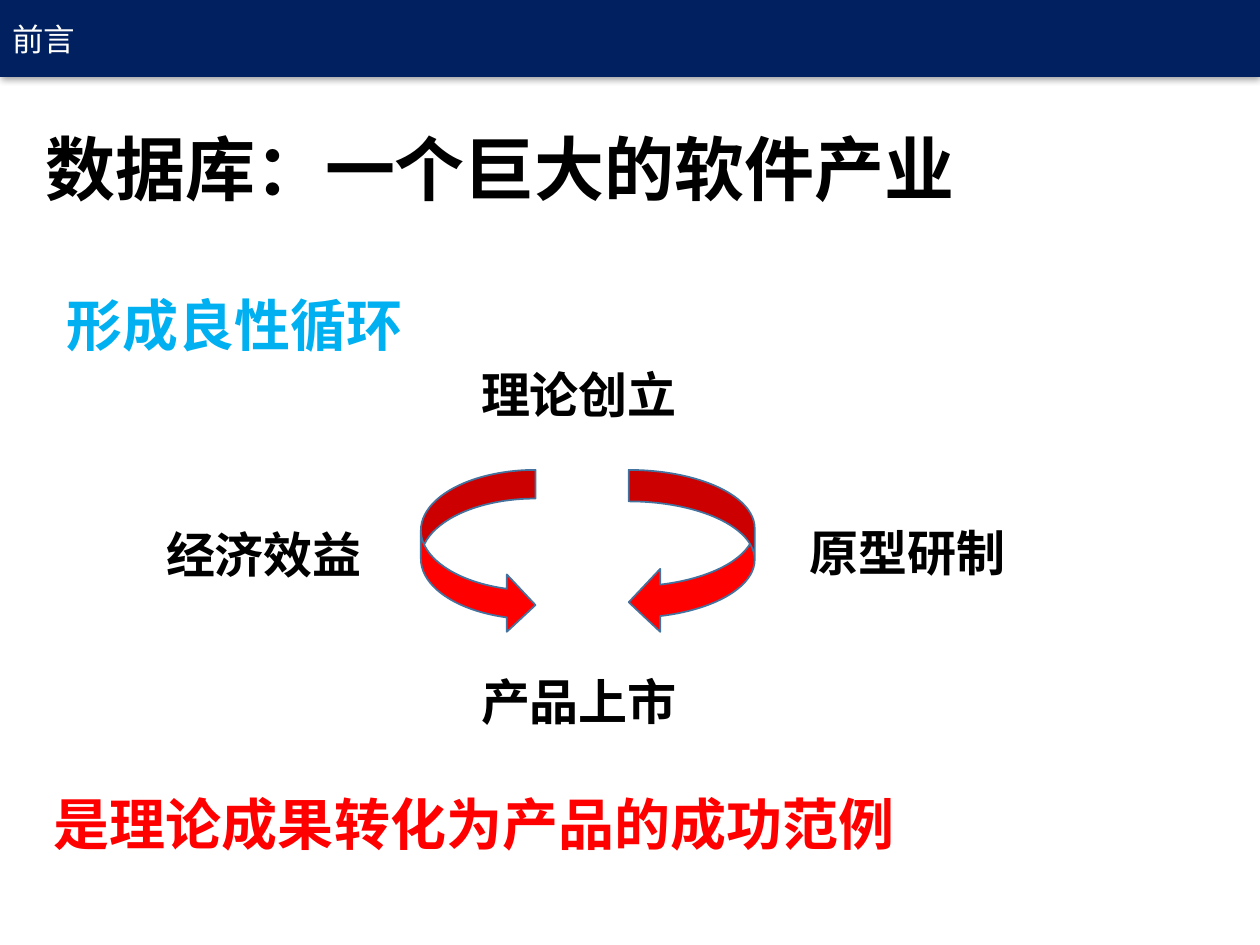
from dataclasses import dataclass

from lxml import etree
from pptx import Presentation
from pptx.dml.color import RGBColor
from pptx.enum.shapes import MSO_SHAPE
from pptx.enum.text import MSO_ANCHOR, MSO_AUTO_SIZE, PP_ALIGN
from pptx.oxml import parse_xml
from pptx.oxml.ns import qn
from pptx.util import Inches, Pt

LEFT = PP_ALIGN.LEFT
MIDDLE = MSO_ANCHOR.MIDDLE
GROW = MSO_AUTO_SIZE.SHAPE_TO_FIT_TEXT
NO_FIT = MSO_AUTO_SIZE.NONE
RECTANGLE = MSO_SHAPE.RECTANGLE
LEFT_SIDE_ARROW = MSO_SHAPE.CURVED_RIGHT_ARROW
RIGHT_SIDE_ARROW = MSO_SHAPE.CURVED_LEFT_ARROW

TITLE_ONLY = 5
BAR_SHADOW = (
    '<a:effectLst xmlns:a="http://schemas.openxmlformats.org/drawingml/2006/main">'
    '<a:outerShdw blurRad="50800" dist="12700" dir="5400000" algn="t" rotWithShape="0">'
    '<a:srgbClr val="000000"><a:alpha val="40000"/></a:srgbClr>'
    "</a:outerShdw></a:effectLst>"
)


@dataclass(frozen=True)
class Theme:
    text_font: str = "Noto Sans CJK SC"
    bar_font: str = "Calibri"
    black: str = "000000"
    white: str = "FFFFFF"
    navy: str = "002060"
    sky: str = "00B0F0"
    red: str = "FF0000"
    outline: str = "43739E"
    title_size: int = 40
    statement_size: int = 32
    stage_size: int = 28
    bar_size: int = 18


class SlideBuilder:
    def __init__(self, page, theme):
        self.page = page
        self.theme = theme

    def set_text(self, frame, text, size, color, font=None, bold=True):
        """Fill a text frame with one left-aligned, formatted paragraph."""
        frame.text = text
        para = frame.paragraphs[0]
        para.alignment = LEFT
        span = para.runs[0]
        span.font.size = Pt(size)
        span.font.bold = bold
        span.font.color.rgb = RGBColor.from_string(color)
        span.font.name = font or self.theme.text_font
        east_asian = etree.SubElement(span.font._element, qn("a:ea"))
        east_asian.set("typeface", self.theme.text_font)
        return para

    def title(self, text, left, top, width, height):
        box = self.page.shapes.title
        box.left, box.top = Inches(left), Inches(top)
        box.width, box.height = Inches(width), Inches(height)
        frame = box.text_frame
        frame.vertical_anchor = MIDDLE
        frame.auto_size = NO_FIT
        para = self.set_text(frame, text, self.theme.title_size, self.theme.black)
        para.line_spacing = 0.9

    def shape(self, kind, left, top, width, height, fill):
        shape = self.page.shapes.add_shape(
            kind, Inches(left), Inches(top), Inches(width), Inches(height))
        shape.shadow.inherit = False
        shape.fill.solid()
        shape.fill.fore_color.rgb = RGBColor.from_string(fill)
        return shape

    def header_bar(self, text, width, height):
        bar = self.shape(RECTANGLE, 0, 0, width, height, self.theme.navy)
        bar.line.fill.background()
        properties = bar._element.spPr
        properties.replace(properties.find(qn("a:effectLst")), parse_xml(BAR_SHADOW))
        bar.text_frame.vertical_anchor = MIDDLE
        self.set_text(bar.text_frame, text, self.theme.bar_size, self.theme.white,
                      self.theme.bar_font, bold=False)

    def arrow(self, kind, left, top, width, height):
        arrow = self.shape(kind, left, top, width, height, self.theme.red)
        arrow.line.color.rgb = RGBColor.from_string(self.theme.outline)
        arrow.line.width = Pt(1)

    def label(self, text, left, top, width, height, size, color):
        box = self.page.shapes.add_textbox(
            Inches(left), Inches(top), Inches(width), Inches(height))
        box.text_frame.word_wrap = False
        box.text_frame.auto_size = GROW
        self.set_text(box.text_frame, text, size, color)

    def statement(self, text, left, top, width, color):
        self.label(text, left, top, width, 0.64, self.theme.statement_size, color)

    def stage(self, text, left, top):
        self.label(text, left, top, 1.77, 0.57, self.theme.stage_size, self.theme.black)


def main():
    deck = Presentation()
    deck.slide_width, deck.slide_height = Inches(10), Inches(7.5)
    theme = Theme()
    page = deck.slides.add_slide(deck.slide_layouts[TITLE_ONLY])
    builder = SlideBuilder(page, theme)

    builder.title("数据库：一个巨大的软件产业", 0.26, 0.83, 8.62, 1.08)
    builder.header_bar("前言", 10, 0.61)
    builder.statement("形成良性循环", 0.43, 2.26, 2.89, theme.sky)

    cycle_stages = [
        ("经济效益", 1.22, 4.11),
        ("原型研制", 6.33, 4.1),
        ("产品上市", 3.72, 5.28),
        ("理论创立", 3.72, 2.84),
    ]
    for text, left, top in cycle_stages:
        builder.stage(text, left, top)

    builder.arrow(LEFT_SIDE_ARROW, 3.34, 3.73, 0.91, 1.3)
    builder.arrow(RIGHT_SIDE_ARROW, 4.99, 3.73, 1, 1.3)
    builder.statement("是理论成果转化为产品的成功范例", 0.33, 6.22, 6.93, theme.red)

    deck.save("out.pptx")


if __name__ == "__main__":
    main()
